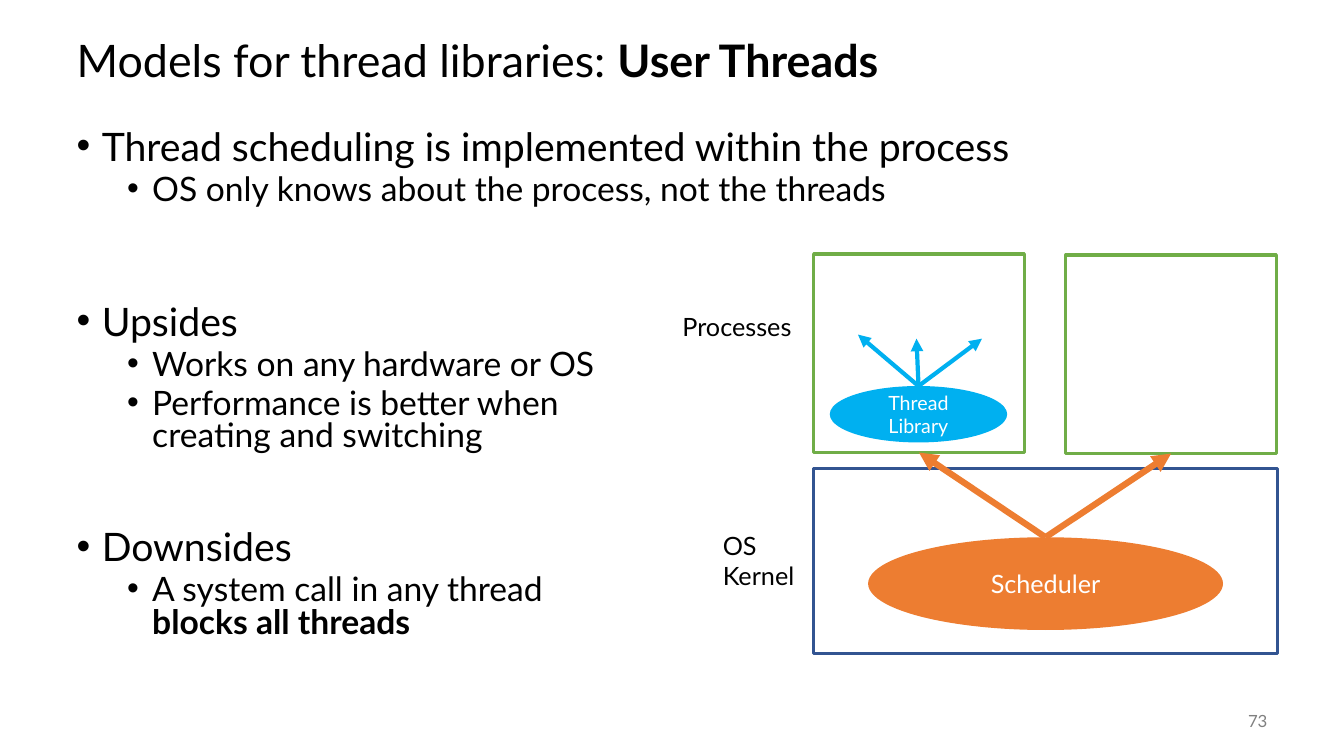
"""Build the slide on user threads as a model for thread libraries."""
from dataclasses import dataclass

from lxml.etree import SubElement
from pptx import Presentation
from pptx.dml.color import RGBColor
from pptx.enum.shapes import MSO_CONNECTOR as Connector, MSO_SHAPE as Shape
from pptx.enum.text import MSO_ANCHOR as Anchor, MSO_AUTO_SIZE as AutoSize, PP_ALIGN as Align
from pptx.oxml.ns import qn
from pptx.util import Inches, Pt


@dataclass(frozen=True)
class Theme:
    font: str = "Lato"
    text: str = "000000"
    light: str = "FFFFFF"
    muted: str = "808080"
    kernel: str = "325491"
    scheduler: str = "ED7D31"
    process: str = "70AD47"
    library: str = "00B0F0"
    title_size: int = 32
    list_sizes: tuple = (28, 24)
    label_size: int = 18
    small_size: int = 14
    number_size: int = 12


class SlideBuilder:
    def __init__(self, presentation, theme):
        self.theme = theme
        self.slide = presentation.slides.add_slide(presentation.slide_layouts[1])

    def style_runs(self, paragraph, size, color):
        for run in paragraph.runs:
            run.font.name = self.theme.font
            run.font.size = Pt(size)
            run.font.color.rgb = RGBColor.from_string(color)
        for line_break in paragraph._p.findall(qn("a:br")):
            SubElement(line_break, qn("a:rPr"), sz=str(size * 100))

    def place(self, shape, left, top, width, height):
        shape.left, shape.top = Inches(left), Inches(top)
        shape.width, shape.height = Inches(width), Inches(height)
        shape.text_frame.word_wrap = True
        shape.text_frame.auto_size = AutoSize.NONE

    def title(self, plain, strong, *box):
        shape = self.slide.shapes.title
        self.place(shape, *box)
        shape.text_frame.vertical_anchor = Anchor.MIDDLE
        paragraph = shape.text_frame.paragraphs[0]
        paragraph.alignment = Align.LEFT
        paragraph.line_spacing = 0.9
        paragraph.add_run().text = plain
        bold_run = paragraph.add_run()
        bold_run.text = strong
        bold_run.font.bold = True
        self.style_runs(paragraph, self.theme.title_size, self.theme.text)

    def bullets(self, items, *box):
        shape = self.slide.placeholders[1]
        self.place(shape, *box)
        frame = shape.text_frame
        frame.vertical_anchor = Anchor.TOP
        frame.text = "\n".join(text for text, level, space in items)
        for paragraph, (text, level, space) in zip(frame.paragraphs, items):
            paragraph.level = level
            paragraph.line_spacing = 0.8
            paragraph.space_before = Pt(space)
            paragraph.space_after = Pt(0)
            properties = paragraph._p.get_or_add_pPr()
            properties.set("marL", str(Inches(0.25 + 0.5 * level)))
            properties.set("indent", str(Inches(-0.25)))
            SubElement(properties, qn("a:buFont"), typeface="Arial")
            SubElement(properties, qn("a:buChar"), char="•")
            self.style_runs(paragraph, self.theme.list_sizes[level], self.theme.text)
        frame.paragraphs[-1].runs[-1].font.bold = True

    def label(self, text, size, color, *box, align=Align.LEFT, anchor=Anchor.TOP):
        shape = self.slide.shapes.add_textbox(0, 0, 0, 0)
        self.place(shape, *box)
        shape.text_frame.vertical_anchor = anchor
        paragraph = shape.text_frame.paragraphs[0]
        paragraph.text = text
        paragraph.alignment = align
        self.style_runs(paragraph, size, color)

    def frame(self, color, *box):
        shape = self.slide.shapes.add_shape(Shape.RECTANGLE, *map(Inches, box))
        shape.shadow.inherit = False
        shape.fill.background()
        shape.line.color.rgb = RGBColor.from_string(color)
        shape.line.width = Pt(2.25)
        return shape

    def ellipse(self, text, size, color, *box):
        shape = self.slide.shapes.add_shape(Shape.OVAL, *map(Inches, box))
        shape.shadow.inherit = False
        shape.fill.solid()
        shape.fill.fore_color.rgb = RGBColor.from_string(color)
        shape.line.fill.background()
        shape.text_frame.word_wrap = True
        shape.text_frame.vertical_anchor = Anchor.MIDDLE
        paragraph = shape.text_frame.paragraphs[0]
        paragraph.text = text
        paragraph.alignment = Align.CENTER
        self.style_runs(paragraph, size, self.theme.light)
        return shape

    def arrow(self, source, color, width, end=(0, 0), target=None):
        connector = self.slide.shapes.add_connector(
            Connector.STRAIGHT, source.left + source.width // 2, source.top, *map(Inches, end))
        connector.begin_connect(source, 0)
        if target is not None:
            connector.end_connect(target, 2)
        connector.line.color.rgb = RGBColor.from_string(color)
        connector.line.width = Pt(width)
        SubElement(connector.line._get_or_add_ln(), qn("a:tailEnd"), type="triangle")
        SubElement(connector._element.spPr, qn("a:effectLst"))


def main():
    presentation = Presentation()
    presentation.slide_width, presentation.slide_height = Inches(13.33), Inches(7.5)
    theme = Theme()
    builder = SlideBuilder(presentation, theme)

    builder.title("Models for thread libraries: ", "User Threads", 0.66, 0.25, 12, 0.75)
    builder.bullets([
        ("Thread scheduling is implemented within the process", 0, 0),
        ("OS only knows about the process, not the threads", 1, 5),
        ("Upsides", 0, 70),
        ("Works on any hardware or OS", 1, 5),
        ("Performance is better when\vcreating and switching", 1, 5),
        ("Downsides", 0, 55),
        ("A system call in any thread\vblocks all threads", 1, 5),
    ], 0.66, 1.25, 12, 5.5)
    builder.label("73", theme.number_size, theme.muted, 11.67, 6.95, 1, 0.4,
                  align=Align.RIGHT, anchor=Anchor.MIDDLE)

    builder.frame(theme.kernel, 8.07, 4.65, 4.6, 1.83)
    scheduler = builder.ellipse("Scheduler", theme.label_size, theme.scheduler,
                                8.61, 5.33, 3.52, 0.92)
    builder.label("OS Kernel", theme.label_size, theme.text, 7.07, 5.21, 0.92, 0.71)
    builder.label("Processes", theme.label_size, theme.text, 6.67, 3.04, 1.32, 0.4)

    processes = [builder.frame(theme.process, left, top, 2.09, 1.97)
                 for left, top in ((8.07, 2.52), (10.57, 2.53))]
    for process in processes:
        builder.arrow(scheduler, theme.scheduler, 4.5, target=process)

    library = builder.ellipse("Thread Library", theme.small_size, theme.library,
                              8.23, 3.83, 1.76, 0.56)
    for thread_end in ((8.51, 3.32), (9.09, 3.36), (9.74, 3.36)):
        builder.arrow(library, theme.library, 3, end=thread_end)

    presentation.save("out.pptx")


if __name__ == "__main__":
    main()
